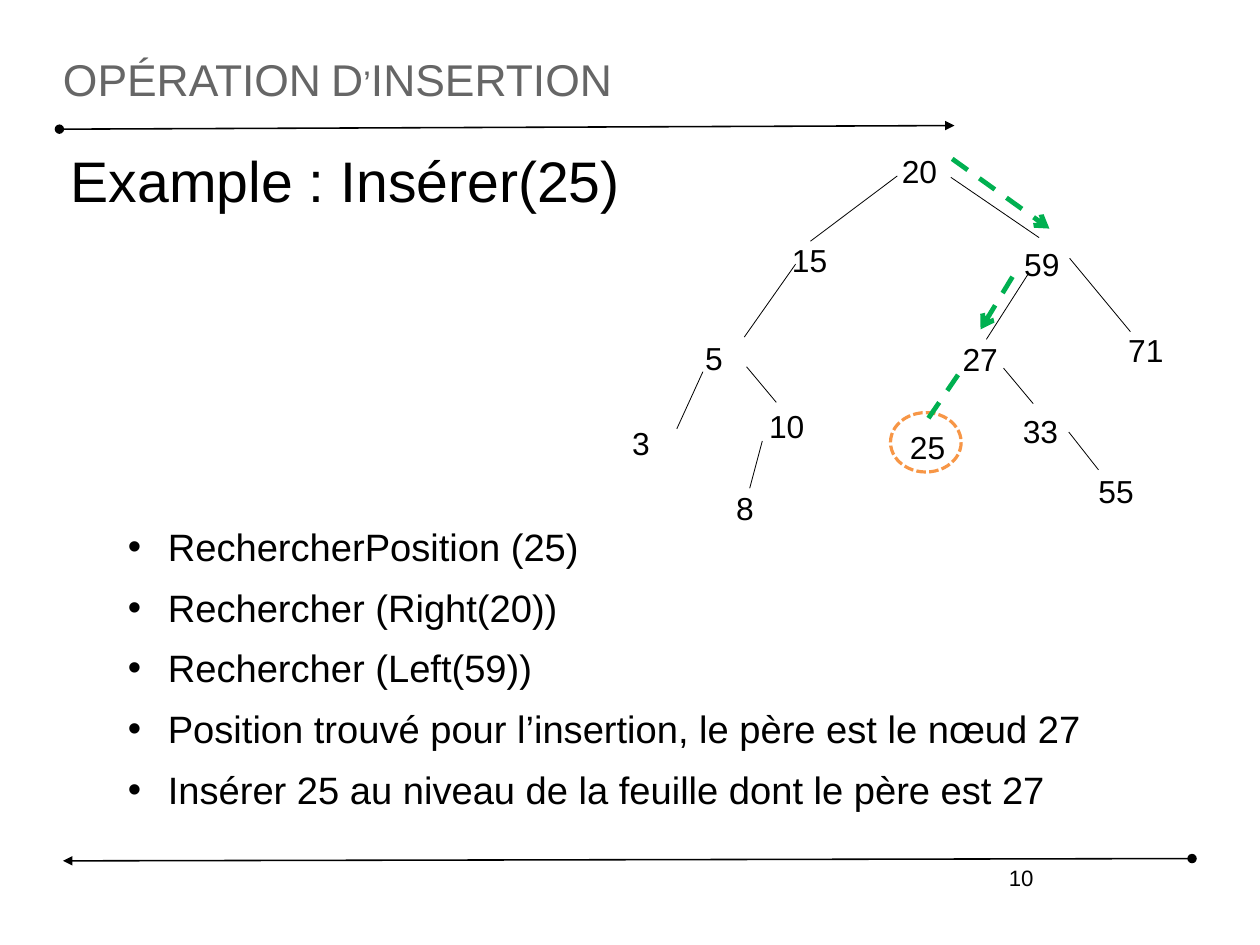
from dataclasses import dataclass

from pptx import Presentation
from pptx.dml.color import RGBColor
from pptx.enum.dml import MSO_LINE
from pptx.enum.shapes import MSO_CONNECTOR, MSO_SHAPE
from pptx.enum.text import MSO_ANCHOR, MSO_AUTO_SIZE, PP_ALIGN
from pptx.oxml.ns import qn
from pptx.oxml.xmlchemy import OxmlElement
from pptx.util import Cm, Pt

STRAIGHT = MSO_CONNECTOR.STRAIGHT
OVAL = MSO_SHAPE.OVAL
DASH = MSO_LINE.DASH
SHORT_DASH = MSO_LINE.SQUARE_DOT
TOP, MIDDLE = MSO_ANCHOR.TOP, MSO_ANCHOR.MIDDLE
LEFT, RIGHT = PP_ALIGN.LEFT, PP_ALIGN.RIGHT
NO_AUTOFIT = MSO_AUTO_SIZE.NONE


@dataclass(frozen=True)
class Theme:
    font: str = "Arial"
    ink: RGBColor = RGBColor(0x00, 0x00, 0x00)
    paper: RGBColor = RGBColor(0xFF, 0xFF, 0xFF)
    title_ink: RGBColor = RGBColor(0x66, 0x66, 0x66)
    trail_ink: RGBColor = RGBColor(0x00, 0xB0, 0x50)
    inserted_ink: RGBColor = RGBColor(0xF7, 0x96, 0x46)
    title_size: Pt = Pt(28)
    heading_size: Pt = Pt(36)
    step_size: Pt = Pt(24)
    node_size: Pt = Pt(20)
    number_size: Pt = Pt(14)


THEME = Theme()

STEPS = [
    "RechercherPosition (25)",
    "Rechercher (Right(20))",
    "Rechercher (Left(59))",
    "Position trouvé pour l’insertion, le père est le nœud 27",
    "Insérer 25 au niveau de la feuille dont le père est 27",
]
NODES = {
    "20": (20.04, 3.38),
    "15": (17.6, 5.36),
    "59": (22.76, 5.44),
    "5": (15.67, 7.52),
    "27": (21.39, 7.54),
    "71": (25.07, 7.34),
    "3": (14.05, 9.42),
    "10": (17.09, 9.04),
    "25": (20.22, 9.5),
    "33": (22.73, 9.14),
    "8": (16.36, 10.87),
    "55": (24.41, 10.49),
}
EDGES = [
    (18.01, 5.36, 19.94, 3.91),
    (23.09, 5.28, 21.13, 3.94),
    (16.54, 7.49, 17.68, 5.87),
    (21.92, 7.54, 22.86, 6.07),
    (25.12, 7.37, 23.77, 5.74),
    (15.04, 9.53, 15.62, 8.26),
    (17.25, 8.94, 16.59, 8.15),
    (22.96, 8.97, 22.3, 8.18),
    (16.66, 10.85, 16.94, 9.8),
    (24.41, 10.44, 23.75, 9.6),
]
TRAIL = [
    ((21.16, 3.53, 23.32, 5.08), "arrow"),
    ((22.5, 6.15, 21.79, 7.32), "arrow"),
    ((21.29, 8.33, 20.47, 9.53), None),
]
RULES = [(1.32, 2.87, 21.21, 2.79), (26.49, 19.08, 1.4, 19.13)]


def style(paragraph, size, color=THEME.ink, align=LEFT):
    paragraph.alignment = align
    font = paragraph.font
    font.name, font.size = THEME.font, size
    font.color.rgb = color


def set_frame(frame, inset=(0, 0), anchor=TOP):
    frame.word_wrap = True
    frame.auto_size = NO_AUTOFIT
    frame.vertical_anchor = anchor
    frame.margin_left = frame.margin_right = Cm(inset[0])
    frame.margin_top = frame.margin_bottom = Cm(inset[1])


def place(shape, left, top, width, height):
    shape.left, shape.top = Cm(left), Cm(top)
    shape.width, shape.height = Cm(width), Cm(height)


def set_bullet(paragraph, margin, indent, char=None):
    properties = paragraph._p.get_or_add_pPr()
    properties.set("marL", str(Cm(margin)))
    properties.set("indent", str(Cm(indent)))
    bullet = OxmlElement("a:buChar" if char else "a:buNone")
    if char:
        bullet.set("char", char)
    properties.append(bullet)


def add_title(slide, text):
    title = slide.shapes.title
    place(title, 1.4, 0.84, 25.2, 1.83)
    set_frame(title.text_frame, anchor=MIDDLE)
    title.text_frame.text = text
    paragraph = title.text_frame.paragraphs[0]
    style(paragraph, THEME.title_size, THEME.title_ink)
    paragraph._p.pPr.find(qn("a:defRPr")).set("cap", "small")


def add_body(slide, heading, steps):
    body = slide.placeholders[1]
    place(body, 1.27, 3.23, 25.1, 16.56)
    frame = body.text_frame
    set_frame(frame)
    frame.text = heading
    opening = frame.paragraphs[0]
    set_bullet(opening, 0.3, 0)
    opening.space_before = Pt(0)
    style(opening, THEME.heading_size)
    for index, step in enumerate(steps):
        paragraph = frame.add_paragraph()
        paragraph.text = step
        paragraph.level = 1
        set_bullet(paragraph, 2.46, -0.89, "•")
        paragraph.space_before = Pt(9.4 if index else 195)
        style(paragraph, THEME.step_size)


def add_label(slide, text, box, size, inset=(0, 0), align=LEFT):
    label = slide.shapes.add_textbox(*map(Cm, box))
    set_frame(label.text_frame, inset)
    label.text_frame.text = text
    style(label.text_frame.paragraphs[0], size, align=align)


def add_line(slide, ends, width, color=THEME.ink, dash=None, head=None, tail=None):
    connector = slide.shapes.add_connector(STRAIGHT, *map(Cm, ends))
    connector.line.width = Pt(width)
    connector.line.color.rgb = color
    if dash:
        connector.line.dash_style = dash
    properties = connector._element.spPr
    outline = properties.find(qn("a:ln"))
    for tag, kind in (("a:headEnd", head), ("a:tailEnd", tail)):
        if kind:
            end = OxmlElement(tag)
            end.set("type", kind)
            outline.append(end)
    properties.append(OxmlElement("a:effectLst"))


def add_inserted_ring(slide):
    ring = slide.shapes.add_shape(OVAL, Cm(19.79), Cm(9.17), Cm(1.57), Cm(1.32))
    ring.shadow.inherit = False
    ring.fill.solid()
    ring.fill.fore_color.rgb = THEME.paper
    ring.line.color.rgb = THEME.inserted_ink
    ring.line.width = Pt(2)
    ring.line.dash_style = SHORT_DASH


def add_tree(slide):
    add_inserted_ring(slide)
    for ends in EDGES:
        add_line(slide, ends, 0.5)
    for value, corner in NODES.items():
        add_label(slide, value, (*corner, 0.9, 0.94), THEME.node_size)
    for ends, tail in TRAIL:
        add_line(slide, ends, 3, THEME.trail_ink, DASH, tail=tail)


def main():
    deck = Presentation()
    deck.slide_width, deck.slide_height = Cm(28), Cm(21)
    slide = deck.slides.add_slide(deck.slide_layouts[1])
    for ends in RULES:
        add_line(slide, ends, 1, head="oval", tail="triangle")
    add_label(slide, "10", (16.69, 19.08, 6.53, 1.45), THEME.number_size,
              (0.25, 0.13), RIGHT)
    add_title(slide, "OPÉRATION D’INSERTION")
    add_body(slide, "Example : Insérer(25)", STEPS)
    add_tree(slide)
    deck.save("out.pptx")


if __name__ == "__main__":
    main()
